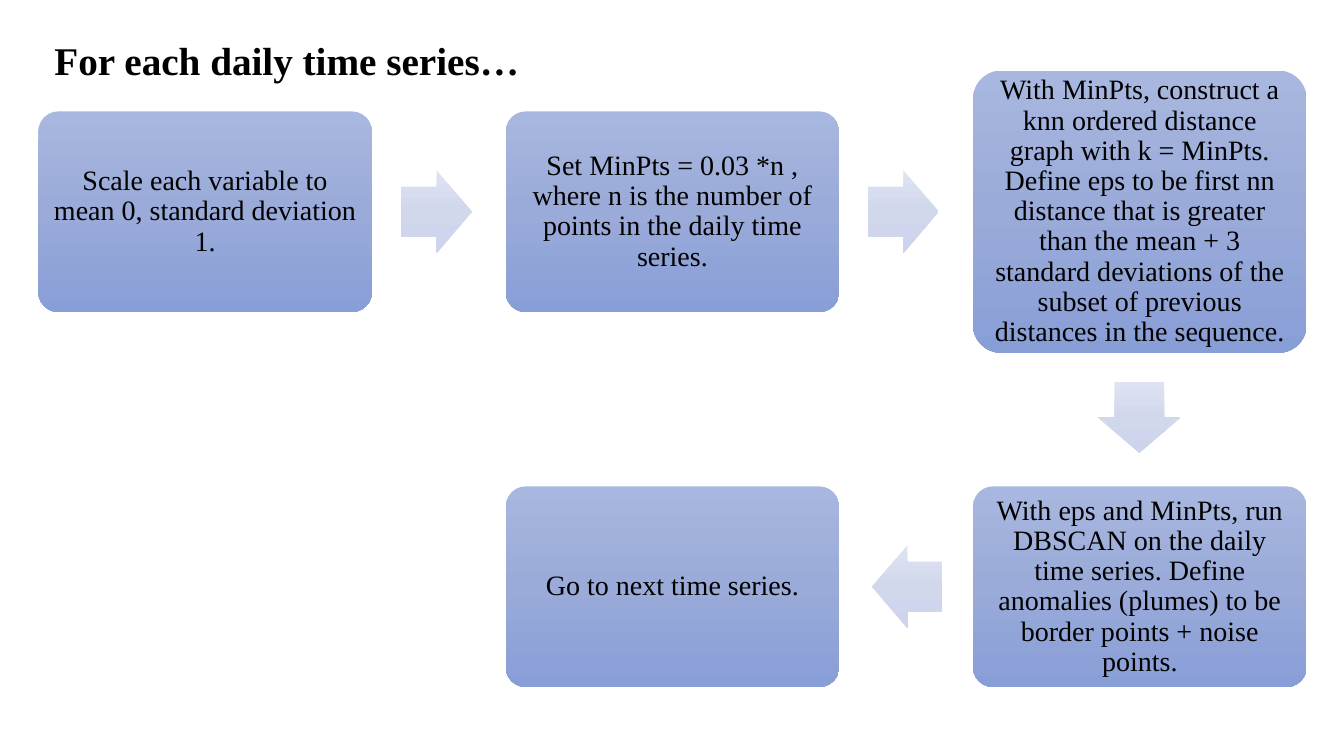
from copy import deepcopy
from dataclasses import dataclass

from pptx import Presentation
from pptx.dml import color
from pptx.enum import shapes, text
from pptx.util import Inches, Pt


@dataclass(frozen=True)
class Theme:
    font: str = "Times New Roman"
    ink: str = "000000"
    head: int = 28
    body: int = 20
    box: tuple = ("A8B7DF", "9AABD9", "889ED7")
    arrow: tuple = ("DEE3F2", "D2D8EC", "CCD3EB")


@dataclass(frozen=True)
class Step:
    col: int
    row: int
    words: str
    high: float = 1.99


@dataclass(frozen=True)
class Arrow:
    x: float
    y: float
    turn: int = 0


THEME = Theme()
LEFT, PITCH, WIDE = 0.38, 4.635, 3.31
ROWS = (2.1, 5.82)  # centre line of each row

STEPS = (
    Step(0, 0, "Scale each variable to mean 0, standard deviation 1."),
    Step(1, 0, "Set MinPts = 0.03 *n , where n is the number of points "
               "in the daily time series."),
    Step(2, 0, "With MinPts, construct a knn ordered distance graph with "
               "k = MinPts. Define eps to be first nn distance that is greater "
               "than the mean + 3 standard deviations of the subset of "
               "previous distances in the sequence.", 2.8),
    Step(2, 1, "With eps and MinPts, run DBSCAN on the daily time series. "
               "Define anomalies (plumes) to be border points + noise points."),
    Step(1, 1, "Go to next time series."),
)

ARROWS = (
    Arrow(4.33, ROWS[0]),
    Arrow(8.96, ROWS[0]),
    Arrow(11.3, 4.14, 90),
    Arrow(9.0, ROWS[1], 180),
)


def write(shape, words: str, *, size: int, bold: bool = False,
          align=text.PP_ALIGN.LEFT, anchor=text.MSO_ANCHOR.TOP,
          pad: tuple = (0.1, 0.05), lead: float = 1.0) -> None:
    frame = shape.text_frame
    frame.word_wrap = True
    frame.auto_size = text.MSO_AUTO_SIZE.NONE
    frame.vertical_anchor = anchor
    frame.margin_left = frame.margin_right = Inches(pad[0])
    frame.margin_top = frame.margin_bottom = Inches(pad[1])
    para = frame.paragraphs[0]
    para.alignment = align
    para.line_spacing = lead
    run = para.add_run()
    run.text = words
    run.font.name = THEME.font
    run.font.size = Pt(size)
    run.font.bold = bold
    run.font.color.rgb = color.RGBColor.from_string(THEME.ink)


def shade(shape, tones: tuple) -> None:
    """Fill with three tones running from top to bottom, without an outline."""
    shape.shadow.inherit = False
    shape.line.fill.background()
    fill = shape.fill
    fill.gradient()
    fill.gradient_angle = 270
    shape._element.spPr.find(
        "{http://schemas.openxmlformats.org/drawingml/2006/main}gradFill"
    ).set("rotWithShape", "0")
    first = fill.gradient_stops[0]._gs
    first.addnext(deepcopy(first))
    for stop, tone, place in zip(fill.gradient_stops, tones, (0, 0.5, 1)):
        stop.color.rgb = color.RGBColor.from_string(tone)
        stop.position = place


def block(slide, kind, x: float, y: float, wide: float, high: float,
          tones: tuple, adjust: tuple):
    """Add a shaded shape centred on x, y."""
    shape = slide.shapes.add_shape(
        kind, Inches(x - wide / 2), Inches(y - high / 2),
        Inches(wide), Inches(high))
    for i, value in enumerate(adjust):
        shape.adjustments[i] = value
    shade(shape, tones)
    return shape


def draw_step(slide, step: Step) -> None:
    x = LEFT + step.col * PITCH + WIDE / 2
    box = block(slide, shapes.MSO_SHAPE.ROUNDED_RECTANGLE, x, ROWS[step.row],
                WIDE, step.high, THEME.box, (0.1,))
    write(box, step.words, size=THEME.body, align=text.PP_ALIGN.CENTER,
          anchor=text.MSO_ANCHOR.MIDDLE, pad=(0.08, 0.08), lead=0.9)


def draw_arrow(slide, arrow: Arrow) -> None:
    shape = block(slide, shapes.MSO_SHAPE.RIGHT_ARROW, arrow.x, arrow.y,
                  0.7, 0.82, THEME.arrow, (0.6, 0.5))
    shape.rotation = arrow.turn


def main() -> None:
    deck = Presentation()
    deck.slide_width, deck.slide_height = Inches(13.33), Inches(7.5)
    slide = deck.slides.add_slide(deck.slide_layouts[5])
    for step in STEPS:
        draw_step(slide, step)
    for arrow in ARROWS:
        draw_arrow(slide, arrow)
    title = slide.shapes.title
    title.left, title.top = Inches(0.44), Inches(0.31)
    title.width, title.height = Inches(7.62), Inches(0.57)
    write(title, "For each daily time series…", size=THEME.head, bold=True)
    deck.save("out.pptx")


if __name__ == "__main__":
    main()
